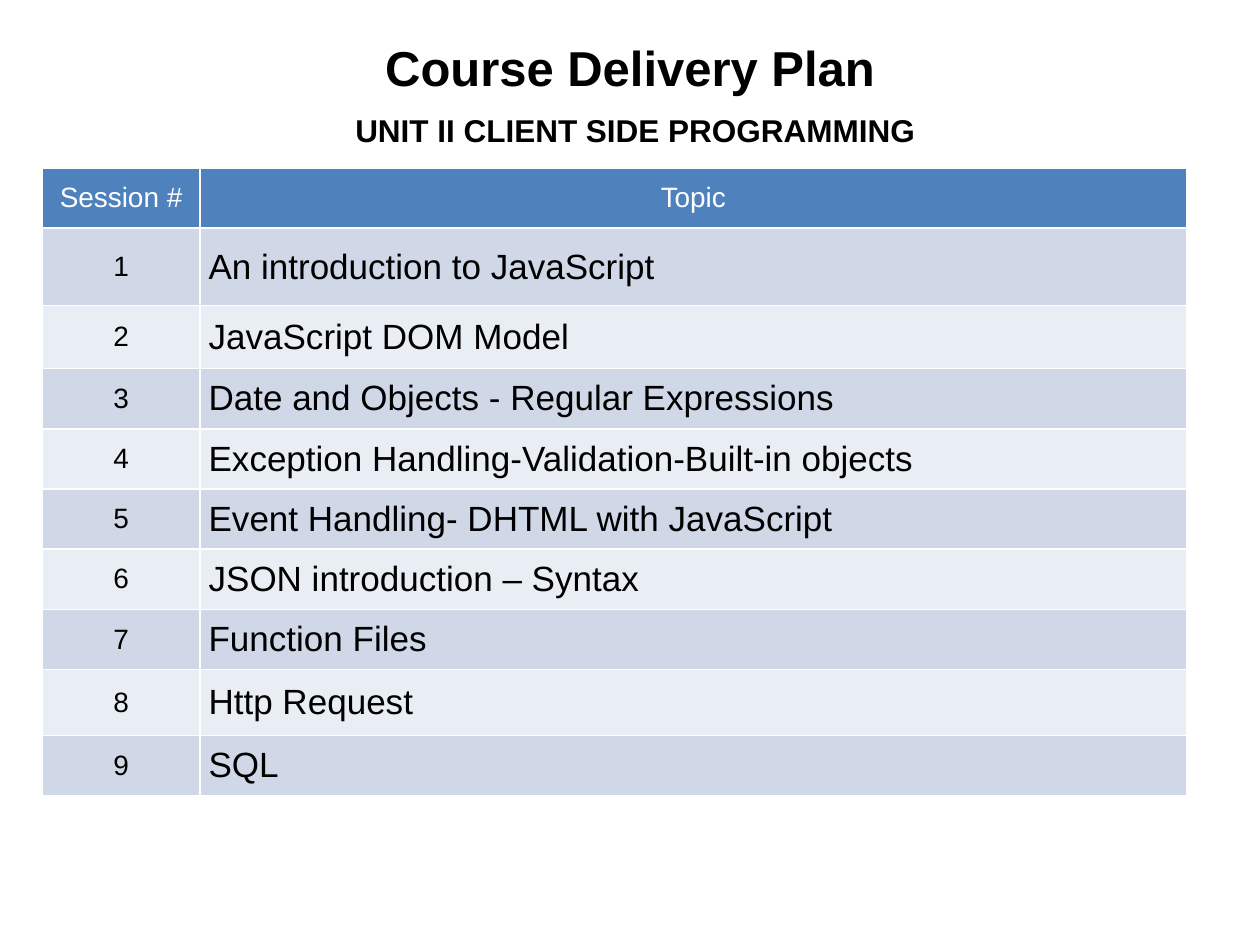
import pptx
import pptx.util
import pptx.dml.color
import pptx.enum.text
import lxml.etree

Pt = pptx.util.Pt
Color = pptx.dml.color.RGBColor.from_string
Align = pptx.enum.text.PP_ALIGN
Anchor = pptx.enum.text.MSO_ANCHOR

theme = {
    "font": "Arial", "text": "000000", "light": "FFFFFF",
    "header": "4F81BD", "bands": ("D0D8E8", "E9EDF4"),
    "title": 28, "unit": 18, "label": 16, "topic": 20,
}


def write(frame, words, size, color=theme["text"], bold=False, align=Align.CENTER):
    """Write one run into the first paragraph of a frame and return the paragraph."""
    paragraph = frame.paragraphs[0]
    paragraph.alignment = align
    run = paragraph.add_run()
    run.text = words
    run.font.name = theme["font"]
    run.font.size = Pt(size)
    run.font.bold = bold
    run.font.color.rgb = Color(color)
    return paragraph


def style_cell(cell, fill):
    """Give a cell its fill, middle anchor and thin light borders."""
    cell.vertical_anchor = Anchor.MIDDLE
    properties = cell._tc.get_or_add_tcPr()
    for side in ("lnL", "lnR", "lnT", "lnB"):
        border = lxml.etree.SubElement(properties, pptx.oxml.ns.qn("a:" + side), w=str(Pt(1)))
        solid = lxml.etree.SubElement(border, pptx.oxml.ns.qn("a:solidFill"))
        lxml.etree.SubElement(solid, pptx.oxml.ns.qn("a:srgbClr"), val=theme["light"])
    cell.fill.solid()
    cell.fill.fore_color.rgb = Color(fill)


topics = [
    "An introduction to JavaScript",
    "JavaScript DOM Model",
    "Date and Objects - Regular Expressions",
    "Exception Handling-Validation-Built-in objects",
    "Event Handling- DHTML with JavaScript",
    "JSON introduction – Syntax",
    "Function Files",
    "Http Request",
    "SQL",
]
row_height = 34.4
special_heights = {1: 44.3, 2: 36, 8: 37.6}

deck = pptx.Presentation()
deck.slide_width, deck.slide_height = Pt(720), Pt(540)
slide = deck.slides.add_slide(deck.slide_layouts[6])

unit = slide.shapes.add_textbox(Pt(31), Pt(60), Pt(669), Pt(36)).text_frame
unit.word_wrap = True
unit_line = write(unit, "UNIT II CLIENT SIDE PROGRAMMING ", theme["unit"], bold=True)
unit_line.space_before = Pt(2)

plan = slide.shapes.add_table(
    len(topics) + 1, 2, Pt(24.2), Pt(96), Pt(654), Pt(359)).table
plan.columns[0].width, plan.columns[1].width = Pt(90), Pt(564)
for index, row in enumerate(plan.rows):
    row.height = Pt(special_heights.get(index, row_height))

for column, heading in enumerate(("Session #", "Topic")):
    cell = plan.cell(0, column)
    style_cell(cell, theme["header"])
    write(cell.text_frame, heading, theme["label"], theme["light"])

for session, topic in enumerate(topics, start=1):
    number_cell, topic_cell = plan.cell(session, 0), plan.cell(session, 1)
    for cell in (number_cell, topic_cell):
        style_cell(cell, theme["bands"][(session - 1) % 2])
    write(number_cell.text_frame, str(session), theme["label"])
    topic_cell.margin_left = topic_cell.margin_right = Pt(5)
    topic_cell.margin_top = topic_cell.margin_bottom = Pt(0)
    write(topic_cell.text_frame, topic, theme["topic"], align=Align.LEFT)

title = slide.shapes.add_textbox(Pt(0), Pt(18), Pt(720), Pt(41)).text_frame
title.word_wrap = True
title.vertical_anchor = Anchor.MIDDLE
write(title, "Course Delivery Plan", theme["title"], bold=True)

deck.save("out.pptx")
